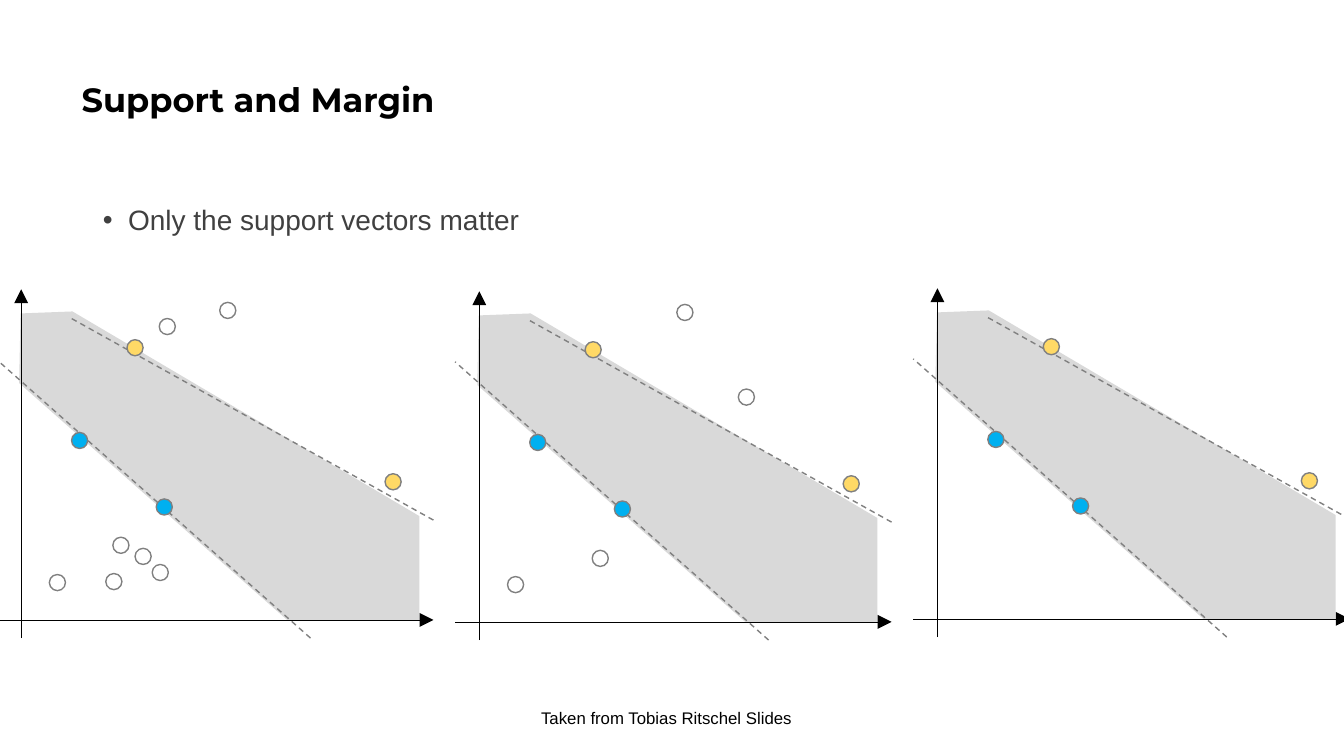
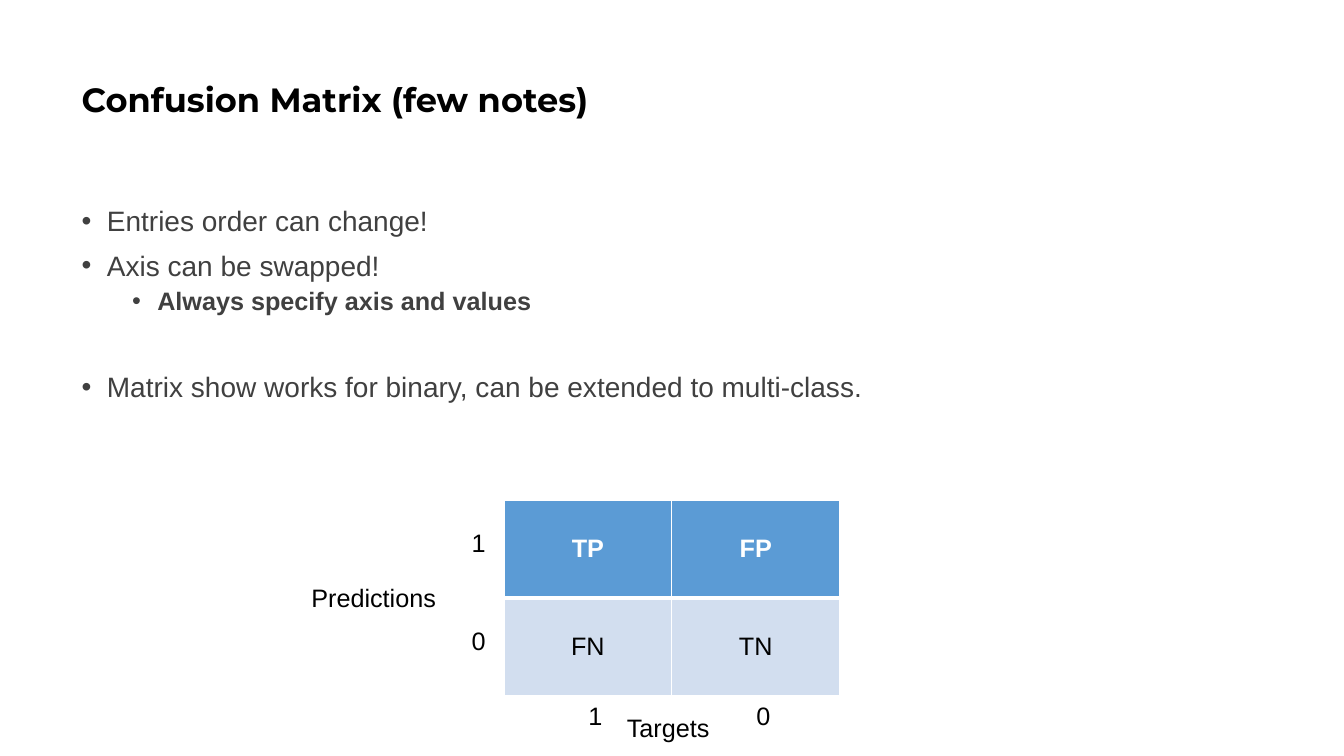
from pptx import Presentation
from pptx.dml.color import RGBColor as Rgb
from pptx.enum.dml import MSO_LINE as Dash
from pptx.enum.shapes import MSO_CONNECTOR as Link, MSO_SHAPE as Form
from pptx.enum.text import MSO_ANCHOR as Anchor, MSO_AUTO_SIZE as Auto, PP_ALIGN as Align
from pptx.oxml.ns import qn
from pptx.util import Inches, Pt
from lxml.etree import SubElement as Sub

BLACK = Rgb(0, 0, 0)
WHITE = Rgb(255, 255, 255)
INK = Rgb(0x40, 0x40, 0x40)
GRAY = Rgb(0x80, 0x80, 0x80)
PALE = Rgb(0xD9, 0xD9, 0xD9)
CYAN = Rgb(0, 0xB0, 0xF0)
GOLD = Rgb(0xFF, 0xD9, 0x66)
HEAD = Rgb(0x5B, 0x9B, 0xD5)
ROW = Rgb(0xD2, 0xDE, 0xEF)

COLS, ROWS = 133.33, 75
WIDE, HIGH = Inches(13.33), Inches(7.5)
TITLE = dict(name="Montserrat", size=Pt(24), bold=True, color=BLACK)
ITEM = dict(name="Arial", size=Pt(20), bold=False, color=INK)
SUBITEM = ITEM | dict(size=Pt(18), bold=True)
NOTE = dict(name="Arial", size=Pt(12), bold=False, color=BLACK)
LABEL = NOTE | dict(size=Pt(18))
TITLE_BOX = 7.1, 2.8, 115, 14.5

BAND = [(2.2, 9.3), (2.35, 2.4), (7.5, 2.2), (41.9, 22.5), (41.9, 32.9), (28.9, 32.9)]
EDGES = [((31.1, 34.6), (0, 7)), ((43.3, 22.9), (7.4, 2.9))]
AXES = [((0, 32.8), (43.3, 32.8)), ((2.4, 34.6), (2.4, 0))]
SUPPORT = [(7.4, 14.2, CYAN), (15.8, 20.8, CYAN), (38.5, 18.3, GOLD), (12.9, 5, GOLD)]
OTHERS = [
    [(5.2, 28.3), (13.7, 25.7), (16.1, 2.9), (22.1, 1.3), (15.4, 27.3), (10.8, 28.2), (11.5, 24.6)],
    [(5.2, 28.3), (13.6, 25.7), (28.1, 9.7), (22, 1.3)],
    [],
]
DOT = 1.6


def px(col):
    """Return the length of a number of grid columns."""
    return round(WIDE * col / COLS)


def py(row):
    """Return the length of a number of grid rows."""
    return round(HIGH * row / ROWS)


def grid(x, y, w, h):
    """Return a grid box as slide lengths."""
    return px(x), py(y), px(w), py(h)


def apply(item, form):
    """Set attributes from a dict."""
    for key, val in form.items():
        setattr(item, key, val)


def style(run, form):
    """Set the font of a run."""
    apply(run.font, {k: v for k, v in form.items() if k != "color"})
    run.font.color.rgb = form["color"]


def place(shape, box):
    """Move a shape to a grid box."""
    apply(shape, dict(zip(("left", "top", "width", "height"), grid(*box))))


def title(slide, text):
    """Fill and place the title."""
    shape = slide.shapes.title
    place(shape, TITLE_BOX)
    apply(shape.text_frame, dict(auto_size=Auto.NONE, vertical_anchor=Anchor.MIDDLE))
    para = shape.text_frame.paragraphs[0]
    apply(para, dict(alignment=Align.LEFT, line_spacing=0.9))
    run = para.add_run()
    run.text = text
    style(run, TITLE)


def body(slide, box, items):
    """Fill the body with bullets given as text, level and space before."""
    shape = slide.placeholders[1]
    place(shape, box)
    frame = shape.text_frame
    apply(frame, dict(auto_size=Auto.NONE, vertical_anchor=Anchor.TOP))
    for i, (text, level, gap) in enumerate(items):
        para = frame.add_paragraph() if i else frame.paragraphs[0]
        apply(para, dict(level=level, line_spacing=0.9, space_before=Pt(gap), space_after=Pt(0)))
        props = para._p.get_or_add_pPr()
        props.set("marL", str(Inches(0.25 + 0.5 * level)))
        props.set("indent", str(-Inches(0.25)))
        Sub(props, qn("a:buFont"), typeface="Arial")
        Sub(props, qn("a:buChar"), char="•")
        run = para.add_run()
        run.text = text
        style(run, SUBITEM if level else ITEM)


def label(slide, text, box, form):
    """Add a line of plain text."""
    shape = slide.shapes.add_textbox(*grid(*box))
    shape.text_frame.word_wrap = True
    run = shape.text_frame.paragraphs[0].add_run()
    run.text = text
    style(run, form)


def line(slide, ends, color, width, dash=None):
    """Add a dashed line, or an arrow when no dash is given."""
    (a, b), (c, d) = ends
    wire = slide.shapes.add_connector(Link.STRAIGHT, px(a), py(b), px(c), py(d))
    wire.line.color.rgb = color
    wire.line.width = Pt(width)
    Sub(wire._element.spPr, qn("a:effectLst"))
    if dash:
        wire.line.dash_style = dash
    else:
        Sub(wire.line._get_or_add_ln(), qn("a:tailEnd"), type="triangle", w="lg", len="lg")


def dot(slide, x, y, fill=None):
    """Add a data point, hollow without a fill."""
    shape = slide.shapes.add_shape(Form.OVAL, *grid(x, y, DOT, DOT))
    shape.shadow.inherit = False
    if fill:
        shape.fill.solid()
        shape.fill.fore_color.rgb = fill
    else:
        shape.fill.background()
    shape.line.color.rgb = GRAY
    shape.line.width = Pt(1)


def plot(slide, x, y, others):
    """Draw the margin plot with its top left at x, y."""
    def move(points):
        return [(x + a, y + b) for a, b in points]

    first, *rest = [(px(a), py(b)) for a, b in move(BAND)]
    path = slide.shapes.build_freeform(*first, scale=1.0)
    path.add_line_segments(rest, close=True)
    band = path.convert_to_shape()
    band.shadow.inherit = False
    band.fill.solid()
    band.fill.fore_color.rgb = PALE
    band.line.fill.background()
    for ends in EDGES:
        line(slide, move(ends), GRAY, 1, Dash.DASH)
    for ends in AXES:
        line(slide, move(ends), BLACK, 0.5)
    for a, b, fill in SUPPORT:
        dot(slide, x + a, y + b, fill)
    for a, b in move(others):
        dot(slide, a, b)


def border(cell, sides):
    """Draw white cell borders of the given widths."""
    props = cell._tc.get_or_add_tcPr()
    for side, width in sides.items():
        edge = Sub(props, qn("a:ln" + side), w=str(Pt(width)))
        Sub(Sub(edge, qn("a:solidFill")), qn("a:srgbClr"), val=str(WHITE))


def matrix(slide, box):
    """Draw the confusion matrix with its axis labels around it."""
    x, y, w, h = box
    table = slide.shapes.add_table(2, 2, *grid(*box)).table
    looks = [(HEAD, LABEL | dict(color=WHITE, bold=True)), (ROW, LABEL)]
    for r, names in enumerate([("TP", "FP"), ("FN", "TN")]):
        fill, form = looks[r]
        table.rows[r].height = py(h / 2)
        for c, name in enumerate(names):
            cell = table.cell(r, c)
            border(cell, dict(L=1, R=1, T=1 if r == 0 else 3, B=3 if r == 0 else 1))
            cell.fill.solid()
            cell.fill.fore_color.rgb = fill
            cell.vertical_anchor = Anchor.MIDDLE
            para = cell.text_frame.paragraphs[0]
            para.alignment = Align.CENTER
            run = para.add_run()
            run.text = name
            style(run, form)
    label(slide, "Predictions", (x - 20.1, y + 7.7, 16.4, 4), LABEL)
    label(slide, "Targets", (x + 11.2, y + 20.6, 11, 4), LABEL)
    for i, name in enumerate("10"):
        label(slide, name, (x - 4.2, y + 2.2 + i * h / 2, 3.6, 4), LABEL)
        label(slide, name, (x + 7.4 + i * w / 2, y + h, 3.6, 4), LABEL)


def margin(deck):
    """Build the support and margin slide."""
    slide = deck.slides.add_slide(deck.slide_layouts[1])
    title(slide, "Support and Margin")
    body(slide, (9.2, 20, 115, 4.9), [("Only the support vectors matter", 0, 10)])
    for i, (top, others) in enumerate(zip((28.7, 28.9, 28.6), OTHERS)):
        plot(slide, 45.45 * i - 0.3, top, others)
    label(slide, "Taken from Tobias Ritschel Slides", (52.7, 69.7, 28, 3), NOTE)


def confusion(deck):
    """Build the confusion matrix slide."""
    slide = deck.slides.add_slide(deck.slide_layouts[1])
    title(slide, "Confusion Matrix (few notes)")
    body(slide, (7.1, 20.1, 115, 47.6), [
        ("Entries order can change!", 0, 10),
        ("Axis can be swapped!", 0, 10),
        ("Always specify axis and values", 1, 5),
        ("Matrix show works for binary, can be extended to multi-class.", 0, 41),
    ])
    matrix(slide, (50, 49.6, 33.3, 19.4))


def main():
    """Build and save the deck."""
    deck = Presentation()
    apply(deck, dict(slide_width=WIDE, slide_height=HIGH))
    margin(deck)
    confusion(deck)
    deck.save("out.pptx")


main()
